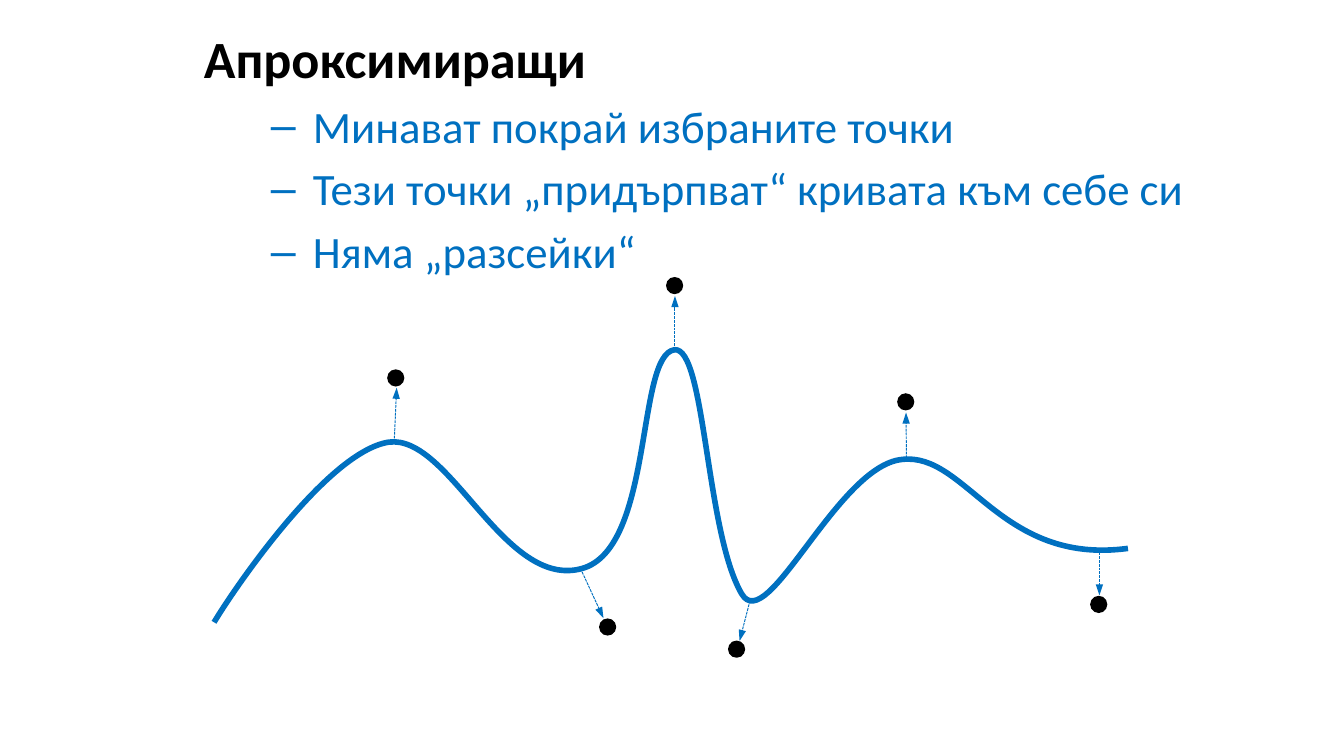
from pptx import Presentation
from pptx import util as u
from pptx.dml.color import RGBColor
from pptx.enum import dml, shapes, text
from pptx.oxml.ns import qn
from lxml import etree

BLUE = RGBColor(0x00, 0x70, 0xC0)
BLACK = RGBColor(0, 0, 0)

TITLE = "Апроксимиращи"
POINTS = [
    "Минават покрай избраните точки",
    "Тези точки „придърпват“ кривата към себе си",
    "Няма „разсейки“",
]
TITLE_FONT = {"name": "Calibri", "size": u.Pt(28), "bold": True}
POINT_FONT = {"name": "Calibri", "size": u.Pt(24), "bold": False}

CURVE_START = (0.7, 185.4)
CURVE = [
    ((12, 166.6), (61.7, 93.9), (94.3, 88.9)),
    ((127.2, 84.6), (156, 168.1), (197.8, 156.6)),
    ((236.6, 145.8), (226.6, 42.1), (247.4, 39.4)),
    ((264, 37.8), (264, 137.1), (283.4, 170.2)),
    ((297.1, 193.3), (334.6, 101.8), (369.1, 98.2)),
    ((403.7, 93.9), (421.7, 155.1), (490.3, 145.8)),
]
DOT = 9.2
PULLS = [
    ((98, 54.5), (97.2, 88.9), (98.5, 59.7)),
    ((211.5, 187.9), (197, 156.6), (209.3, 183.2)),
    ((247.4, 5), (247.6, 39.2), (247.6, 10.6)),
    ((280.6, 199.8), (287.8, 173.8), (282.2, 195.4)),
    ((371.2, 67.3), (371.6, 97.5), (371.4, 73)),
    ((474.6, 175.8), (475, 147.9), (475, 171)),
]


def add_run(p, content, font, color):
    r = p.add_run()
    r.text = content
    for name, value in font.items():
        setattr(r.font, name, value)
    r.font.color.rgb = color


def add_dash_bullet(p):
    pPr = p._p.get_or_add_pPr()
    pPr.set("marL", str(u.Pt(58.3)))
    pPr.set("indent", str(-u.Pt(22.5)))
    etree.SubElement(pPr, qn("a:buFont"), typeface="Arial")
    etree.SubElement(pPr, qn("a:buChar"), char="–")


def add_text(s, left, top, width, height):
    box = s.shapes.add_textbox(*map(u.Pt, (left, top, width, height)))
    tf = box.text_frame
    tf.word_wrap = True
    tf.vertical_anchor = text.MSO_ANCHOR.TOP
    add_run(tf.paragraphs[0], TITLE, TITLE_FONT, BLACK)
    for point in POINTS:
        p = tf.add_paragraph()
        add_dash_bullet(p)
        p.space_before = u.Pt(4.8)
        add_run(p, point, POINT_FONT, BLUE)


def bend_segments(sp):
    lines = list(sp._element.iter(qn("a:lnTo")))
    for i in range(0, len(lines), 3):
        first, *others = lines[i:i + 3]
        first.tag = qn("a:cubicBezTo")
        for line in others:
            first.append(line[0])
            line.getparent().remove(line)


def add_curve(s, left, top):
    def place(x, y):
        return u.Pt(left + x), u.Pt(top + y)

    builder = s.shapes.build_freeform(*place(*CURVE_START))
    controls = [place(*point) for segment in CURVE for point in segment]
    builder.add_line_segments(controls, close=False)
    sp = builder.convert_to_shape()
    bend_segments(sp)
    sp.shadow.inherit = False
    sp.fill.background()
    sp.line.color.rgb = BLUE
    sp.line.width = u.Pt(3)


def add_dot(s, x, y):
    sp = s.shapes.add_shape(
        shapes.MSO_SHAPE.OVAL,
        u.Pt(x - DOT / 2), u.Pt(y - DOT / 2), u.Pt(DOT), u.Pt(DOT),
    )
    sp.shadow.inherit = False
    sp.fill.solid()
    sp.fill.fore_color.rgb = BLACK
    sp.line.fill.background()


def add_arrow(s, x1, y1, x2, y2):
    arrow = s.shapes.add_connector(
        shapes.MSO_CONNECTOR.STRAIGHT, *map(u.Pt, (x1, y1, x2, y2))
    )
    arrow.line.color.rgb = BLUE
    arrow.line.width = u.Pt(0.5)
    arrow.line.dash_style = dml.MSO_LINE.SQUARE_DOT
    spPr = arrow._element.spPr
    etree.SubElement(
        spPr.find(qn("a:ln")), qn("a:tailEnd"), type="triangle", w="sm", len="med"
    )
    etree.SubElement(spPr, qn("a:effectLst"))


def add_diagram(s, left, top):
    add_curve(s, left, top)
    for dot, _, _ in PULLS:
        add_dot(s, left + dot[0], top + dot[1])
    for _, (x1, y1), (x2, y2) in PULLS:
        add_arrow(s, left + x1, top + y1, left + x2, top + y2)


def main():
    prs = Presentation()
    prs.slide_width, prs.slide_height = u.Pt(720), u.Pt(405)
    s = prs.slides.add_slide(prs.slide_layouts[6])
    add_text(s, 102.2, 10.8, 617.8, 372.2)
    add_diagram(s, 114, 148)
    prs.save("out.pptx")


if __name__ == "__main__":
    main()
